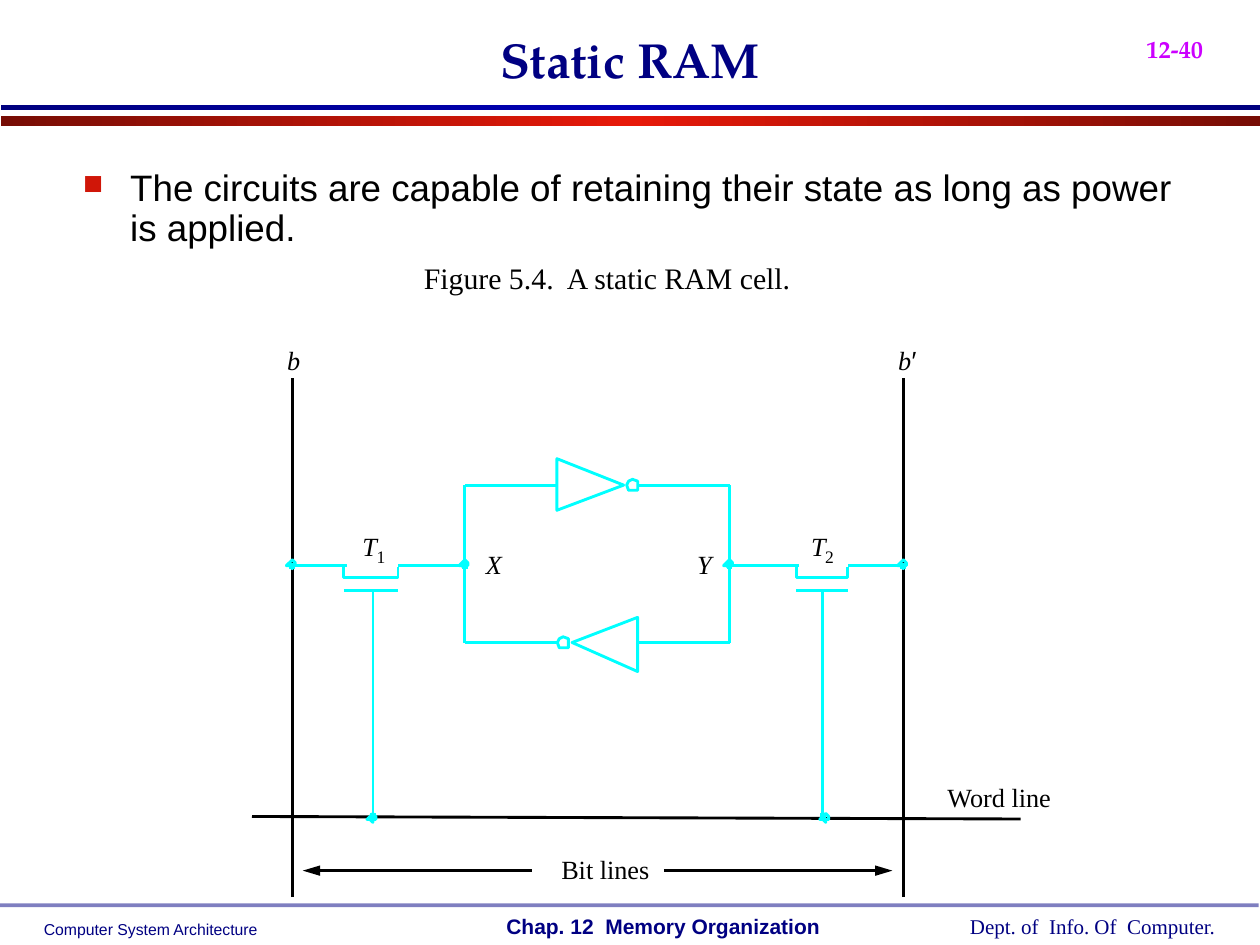
"""Build a slide that explains a static RAM cell with its circuit."""
import copy
import dataclasses
import typing

import lxml.etree
import pptx
import pptx.dml.color
import pptx.enum.dml
import pptx.enum.shapes
import pptx.enum.text
import pptx.oxml.ns
import pptx.util

Pt = pptx.util.Pt
Point = tuple[float, float]
CYAN, BLACK, WHITE, NAVY = "00FFFF", "000000", "FFFFFF", "000082"
SERIF, SANS, TITLE = "Times New Roman", "Arial", "TeX Gyre Pagella"
LEFT, RIGHT = 167.04, 516.24
NODE_X, NODE_Y = 265.68, 416.88
TOP, MID, LOW = 277.2, 323.28, 367.2
GATE, WORD, BITS = 337.68, 466.56, 497.52
IN_A, IN_B = 318.24, 364.32
THICK = 1.63
KITE = [(0, -3.4), (-1.7, -1.7), (-3.4, 0), (-1.7, 0), (0, 1.7),
        (0, 0), (1.7, 0), (1.7, -1.7)]
SQUARE = [(-1.7, -1.7), (-1.7, 1.7), (1.7, 1.7), (1.7, -1.7)]
RING = [(0, -3.3), (-2.2, -2.2), (-3.3, 0), (-2.2, 3), (0, 3),
        (3, 3), (3, 0), (3, -2.2)]


@dataclasses.dataclass
class Label:
    text: str
    left: float
    top: float
    width: float
    height: float
    size: float = 15
    font: str = SERIF
    color: str = BLACK
    bold: bool = False
    italic: bool = False
    center: bool = True
    inset: bool = False
    wrap: bool = False


@dataclasses.dataclass
class Wire:
    start: Point
    end: Point
    color: str = CYAN
    width: float = THICK
    arrow: bool = False


@dataclasses.dataclass
class Bar:
    top: float
    height: float
    edge: str
    core: str


@dataclasses.dataclass
class Gate:
    left: float
    width: float
    stem: float


def hue(code: str) -> pptx.dml.color.RGBColor:
    return pptx.dml.color.RGBColor.from_string(code)


def add(parent: typing.Any, tag: str, **attrs: str) -> typing.Any:
    name = pptx.oxml.ns.qn(tag)
    return lxml.etree.SubElement(parent, name, attrs)


def write(shapes: typing.Any, item: Label) -> typing.Any:
    box = shapes.add_textbox(*map(Pt, (item.left, item.top, item.width, item.height)))
    frame = box.text_frame
    frame.word_wrap = item.wrap
    if not item.inset:
        frame.margin_left = frame.margin_right = 0
        frame.margin_top = frame.margin_bottom = 0
    para = frame.paragraphs[0]
    align = pptx.enum.text.PP_ALIGN
    para.alignment = align.CENTER if item.center else align.LEFT
    run = para.add_run()
    run.text = item.text
    font = run.font
    font.name, font.size = item.font, Pt(item.size)
    font.bold, font.italic = item.bold, item.italic
    font.color.rgb = hue(item.color)
    return box


def wire(shapes: typing.Any, item: Wire) -> None:
    kind = pptx.enum.shapes.MSO_CONNECTOR.STRAIGHT
    link = shapes.add_connector(kind, *map(Pt, item.start + item.end))
    link.line.color.rgb = hue(item.color)
    link.line.width = Pt(item.width)
    if item.arrow:
        add(link.line._get_or_add_ln(), "a:tailEnd", type="triangle", w="med", len="lg")
    add(link.element.spPr, "a:effectLst")


def style(shape: typing.Any, fill: str = "", edge: str = "") -> None:
    shape.shadow.inherit = False
    if fill:
        shape.fill.solid()
        shape.fill.fore_color.rgb = hue(fill)
    else:
        shape.fill.background()
    if edge:
        shape.line.color.rgb = hue(edge)
        shape.line.width = Pt(THICK)
    else:
        shape.line.fill.background()


def trace(shapes: typing.Any, points: list[Point], at: Point = (0, 0),
          fill: str = "", edge: str = "") -> None:
    spots = [(Pt(at[0] + x), Pt(at[1] + y)) for x, y in points]
    form = shapes.build_freeform(*spots[0])
    form.add_line_segments(spots[1:], close=True)
    style(form.convert_to_shape(), fill, edge)


def rect(shapes: typing.Any, left: float, top: float, width: float, height: float) -> typing.Any:
    kind = pptx.enum.shapes.MSO_SHAPE.RECTANGLE
    return shapes.add_shape(kind, *map(Pt, (left, top, width, height)))


def band(shapes: typing.Any, bar: Bar) -> None:
    shape = rect(shapes, 0.72, bar.top, 719.28, bar.height)
    style(shape)
    shape.fill.gradient()
    shape.fill.gradient_angle = 0
    for stop in shape.fill.gradient_stops:
        stop.color.rgb = hue(bar.edge)
    stops = shape.element.spPr.find(".//" + pptx.oxml.ns.qn("a:gsLst"))
    stops.insert(1, copy.deepcopy(stops[0]))
    for stop, spot in zip(shape.fill.gradient_stops, (0, 0.5, 1)):
        stop.position = spot
    shape.fill.gradient_stops[1].color.rgb = hue(bar.core)


def gate(shapes: typing.Any, item: Gate) -> None:
    end = item.left + item.width
    style(rect(shapes, item.left, MID, item.width, 6.48), edge=CYAN)
    for part in (Wire((item.left + 1.44, MID), (end + 1, MID), WHITE, 1.5),
                 Wire((item.left, GATE), (end, GATE)),
                 Wire((item.stem, WORD), (item.stem, GATE))):
        wire(shapes, part)


def dot(shapes: typing.Any, x: float, y: float, dx: float = 0, dy: float = 0) -> None:
    trace(shapes, SQUARE, (x, y), fill=CYAN)
    trace(shapes, KITE, (x + dx, y + dy), edge=CYAN)


def frame(shapes: typing.Any) -> None:
    for bar in (Bar(66.24, 5.76, "770D05", "E71909"), Bar(59.76, 2.88, "00007F", "0000B6")):
        band(shapes, bar)
    rule = rect(shapes, 0, 516.24, 719.28, 2.16)
    style(rule, NAVY)
    tint = rule.element.spPr.find(".//" + pptx.oxml.ns.qn("a:srgbClr"))
    add(tint, "a:alpha", val="50000")
    foot = dict(color=NAVY, center=False, inset=True)
    for item in (
            Label("Computer System Architecture", 18, 522, 136.8, 18, 9, SANS, **foot),
            Label("Dept. of  Info. Of  Computer.", 547.2, 518.4, 155.52, 21.6, 12, **foot),
            Label("Chap. 12  Memory Organization", 282.24, 518.4, 193.68, 21.6, 12, SANS,
                  bold=True, **foot)):
        write(shapes, item)
    page = write(shapes, Label("12-40", 648, 0, 77.76, 26.64, 24, TITLE, "CC00FF", True,
                               center=False, inset=True, wrap=True))
    para = page.text_frame.paragraphs[0]
    para.space_before = Pt(12)
    para.runs[0].font._element.set("baseline", "-25000")
    head = write(shapes, Label("Static RAM", 54, 0, 612, 54, 28, TITLE, NAVY, True,
                               inset=True, wrap=True))
    head.text_frame.vertical_anchor = pptx.enum.text.MSO_ANCHOR.BOTTOM
    body = write(shapes, Label(
        "The circuits are capable of retaining their state as long as power is applied.",
        40.32, 93.6, 648, 56.16, 21, SANS, center=False, inset=True, wrap=True))
    para = body.text_frame.paragraphs[0]
    para.line_spacing, para.space_before = 0.9, Pt(4.2)
    props = para._p.get_or_add_pPr()
    props.set("marL", str(Pt(27)))
    props.set("indent", str(Pt(-27)))
    add(add(props, "a:buClr"), "a:srgbClr", val="D01608")
    add(props, "a:buSzPct", val="75000")
    add(props, "a:buChar", char="■")


def main() -> None:
    deck = pptx.Presentation()
    deck.slide_width, deck.slide_height = Pt(720), Pt(540)
    shapes = deck.slides.add_slide(deck.slide_layouts[6]).shapes
    frame(shapes)
    gates = Gate(196.56, 30.96, 213.12), Gate(455.04, 29.52, 470.16)
    for x in (LEFT, RIGHT):
        wire(shapes, Wire((x, 512.64), (x, 216), BLACK))
    wire(shapes, Wire((583.2, 468), (144, WORD), BLACK))
    for start, end in ((303.84, 173), (379.44, 510)):
        wire(shapes, Wire((start, BITS), (end, BITS), BLACK, arrow=True))
    for item in gates:
        gate(shapes, item)
    for node in (NODE_X, NODE_Y):
        wire(shapes, Wire((node, LOW), (node, TOP)))
    for y in (TOP, LOW):
        for start, end in ((IN_A, NODE_X), (NODE_Y, IN_B)):
            wire(shapes, Wire((start, y), (end, y)))
    for item, near, far in zip(gates, (LEFT, NODE_Y), (NODE_X, RIGHT)):
        wire(shapes, Wire((item.left, MID), (near, MID)))
        wire(shapes, Wire((far, MID), (item.left + item.width, MID)))
    trace(shapes, [(IN_A, 262.08), (356.4, TOP), (IN_A, 291.6)], edge=CYAN)
    trace(shapes, [(IN_B, 352.8), (326.88, LOW), (IN_B, 383.76)], edge=CYAN)
    for spot in ((361.44, TOP), (321.84, LOW)):
        trace(shapes, RING, spot, WHITE, CYAN)
    for x in (LEFT, NODE_X, NODE_Y, RIGHT):
        dot(shapes, x, MID)
    for item, shift in zip(gates, (0, 1.7)):
        dot(shapes, item.stem, WORD, shift, 1.7)
    for item in (
            Label("Figure 5.4.  A static RAM cell.", 234.72, 148.32, 224.64, 20.16, 17),
            Label("Word line", 539.28, 446.4, 63.36, 18),
            Label("Bit lines", 319.68, 487.44, 52.56, 18),
            Label("X", 277.2, 313.2, 10.08, 18, italic=True),
            Label("Y", 397.44, 313.2, 10.08, 18, italic=True),
            Label("b", 163.44, 196.56, 8.64, 18, italic=True),
            Label("b", 512.64, 196.56, 8.64, 18, italic=True),
            Label("′", 520.56, 196.56, 3.6, 18, font=SANS)):
        write(shapes, item)
    for digit, left in (("1", 206.64), ("2", 462.96)):
        write(shapes, Label("T", left, 303.12, 9.36, 18, italic=True))
        write(shapes, Label(digit, left + 8.2, 311.76, 5.76, 12.24, 10))
    deck.save("out.pptx")


if __name__ == "__main__":
    main()
